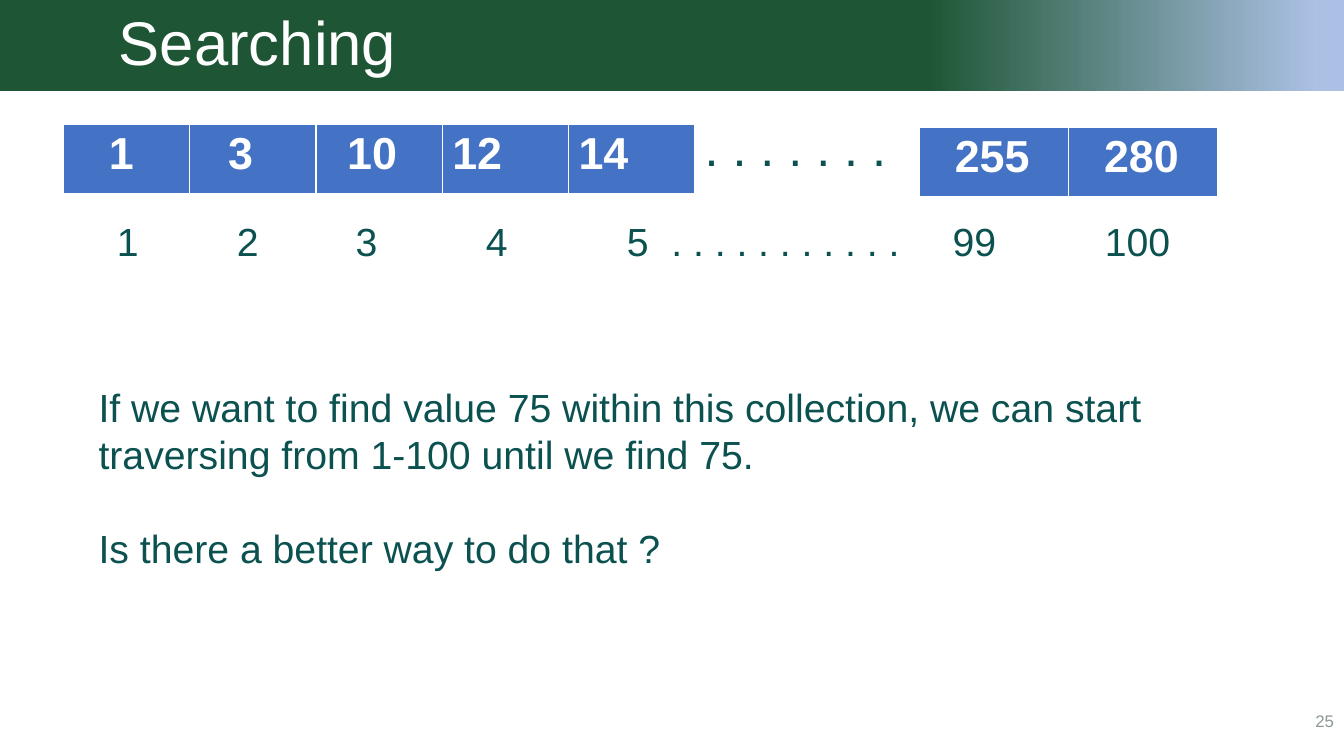
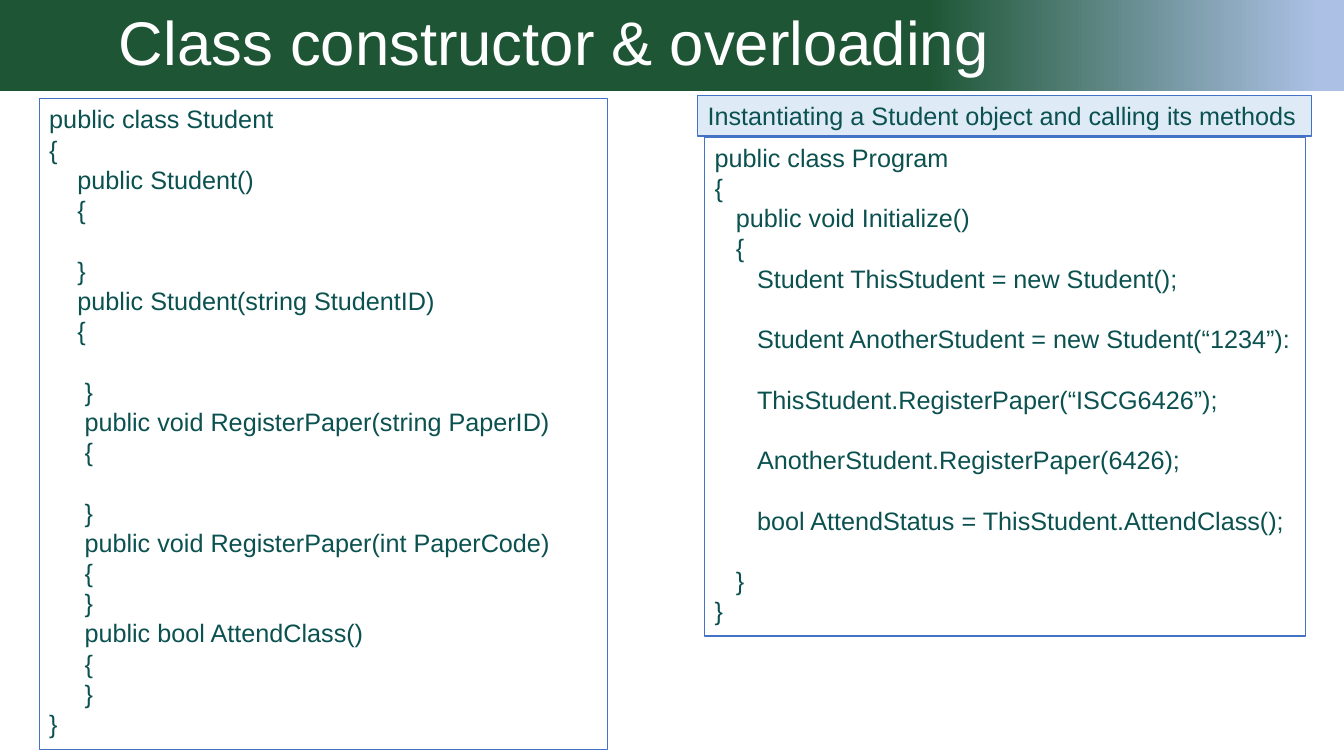
from pptx import Presentation
from pptx.dml.color import RGBColor as RGB
from pptx.enum.shapes import MSO_SHAPE as Shape
from pptx.enum.text import MSO_ANCHOR as Anchor, PP_ALIGN as Align
from pptx.oxml.ns import qn
from pptx.util import Inches, Pt
from lxml.etree import SubElement

FONT = "Arial"
WIDTH = 13.33
SPACE = 0.07
LEAD = 1.2
HEX = {
    "green": "1E5635",
    "sky": "ABC0E4",
    "blue": "4472C4",
    "pale": "DEEBF7",
    "teal": "0B5150",
    "grey": "8C9898",
    "white": "FFFFFF",
}
STOPS = [0.43, 1.62, 2.8, 4.09, 5.49, 5.93, 8.72, 10.23]
PLACES = ["1", "2", "3", "4", "5", ". . . . . . . . . . .", "99", "100"]
ASK = [
    (0, "If we want to find value 75 within this collection, we can start "
        "traversing from 1-100 until we find 75.", 0),
    (0, "Is there a better way to do that ?", 1),
]
CLASS = [
    (0, "public class Student", 0),
    (0, "{", 0),
    (4, "public Student()", 0),
    (4, "{", 0),
    (4, "}", 1),
    (4, "public Student(string StudentID)", 0),
    (4, "{", 0),
    (5, "}", 1),
    (5, "public void RegisterPaper(string PaperID)", 0),
    (5, "{", 0),
    (5, "}", 1),
    (5, "public void RegisterPaper(int PaperCode)", 0),
    (5, "{", 0),
    (5, "}", 0),
    (5, "public bool AttendClass()", 0),
    (5, "{", 0),
    (5, "}", 0),
    (0, "}", 0),
]
CALLS = [
    (0, "public class Program", 0),
    (0, "{", 0),
    (3, "public void Initialize()", 0),
    (3, "{", 0),
    (6, "Student ThisStudent = new Student();", 0),
    (6, "Student AnotherStudent = new Student(“1234”):", 1),
    (6, "ThisStudent.RegisterPaper(“ISCG6426”);", 1),
    (6, "AnotherStudent.RegisterPaper(6426);", 1),
    (6, "bool AttendStatus = ThisStudent.AttendClass();", 1),
    (3, "}", 1),
    (0, "}", 0),
]


def tint(name):
    return RGB.from_string(HEX[name])


def style(para, size, name, bold=False):
    for run in para.runs:
        run.font.name = FONT
        run.font.size = Pt(size)
        run.font.bold = bold
        run.font.color.rgb = tint(name)


def write(frame, lines, size, name="teal"):
    frame.word_wrap = True
    frame.text = "\n".join(text for _, text, _ in lines)
    for para, (depth, _, gap) in zip(frame.paragraphs, lines):
        para.alignment = Align.LEFT
        para.line_spacing = Pt(size * LEAD)
        para.space_before = Pt(size * LEAD * gap)
        if depth:
            para._p.get_or_add_pPr().set("marL", str(Inches(depth * SPACE)))
        style(para, size, name)


def add_box(slide, at):
    return slide.shapes.add_shape(Shape.RECTANGLE, *map(Inches, at))


def add_title(slide, text):
    band = add_box(slide, (0, 0, WIDTH, 0.9))
    band.shadow.inherit = False
    band.line.fill.background()
    band.fill.gradient()
    band.fill.gradient_angle = 0
    marks = [(0.69, "green"), (0.98, "sky")]
    for stop, (spot, name) in zip(band.fill.gradient_stops, marks):
        stop.position = spot
        stop.color.rgb = tint(name)
    frame = band.text_frame
    frame.margin_left = Inches(1.18)
    frame.vertical_anchor = Anchor.MIDDLE
    frame.text = text
    para = frame.paragraphs[0]
    para.alignment = Align.LEFT
    para.line_spacing = 0.9
    style(para, 44, "white")


def add_text(slide, at, lines, size, name="teal"):
    frame = slide.shapes.add_textbox(*map(Inches, at)).text_frame
    write(frame, lines, size, name)
    return frame


def add_tabs(para, stops):
    tabs = SubElement(para._p.get_or_add_pPr(), qn("a:tabLst"))
    for stop in stops:
        SubElement(tabs, qn("a:tab"), pos=str(Inches(stop)), algn="l")


def add_row(slide, at, cells):
    table = slide.shapes.add_table(1, len(cells), *map(Inches, at)).table
    for cell, (text, inset) in zip(table.iter_cells(), cells):
        cell.fill.solid()
        cell.fill.fore_color.rgb = tint("blue")
        cell.margin_left = Inches(0.1 + inset)
        cell.text_frame.text = text
        style(cell.text_frame.paragraphs[0], 32, "white", True)


def add_panel(slide, at, lines, fill=None):
    panel = add_box(slide, at)
    panel.shadow.inherit = False
    if fill:
        panel.fill.solid()
        panel.fill.fore_color.rgb = tint(fill)
    else:
        panel.fill.background()
    panel.line.color.rgb = tint("blue")
    panel.line.width = Pt(0.75)
    frame = panel.text_frame
    frame.margin_right = 0
    frame.vertical_anchor = Anchor.TOP
    write(frame, lines, 18)


def add_page(deck, title):
    slide = deck.slides.add_slide(deck.slide_layouts[6])
    add_title(slide, title)
    return slide


def draw_search(deck):
    slide = add_page(deck, "Searching")
    foot = add_text(slide, (10.33, 6.95, 3, 0.4), [(0, "25", 0)], 12, "grey")
    foot.vertical_anchor = Anchor.MIDDLE
    foot.paragraphs[0].alignment = Align.RIGHT
    head = [("1", 0.35), ("3", 0.28), ("10", 0.21), ("12", 0), ("14", 0)]
    add_row(slide, (0.63, 1.23, 6.26, 0.69), head)
    tail = [("255", 0.25), ("280", 0.25)]
    add_row(slide, (9.12, 1.26, 2.96, 0.69), tail)
    add_text(slide, (6.89, 1.1, 2.23, 0.71), [(0, ". . . . . . .", 0)], 36)
    label = "".join("\t" + place for place in PLACES)
    frame = add_text(slide, (0.63, 2.11, 12.08, 0.57), [(0, label, 0)], 28)
    add_tabs(frame.paragraphs[0], STOPS)
    add_text(slide, (0.88, 3.75, 10.83, 1.99), ASK, 28)


def draw_class(deck):
    slide = add_page(deck, "Class constructor & overloading")
    add_panel(slide, (0.39, 0.98, 5.64, 6.46), CLASS)
    add_panel(slide, (6.99, 1.36, 5.96, 4.95), CALLS)
    note = "Instantiating a Student object and calling its methods"
    add_panel(slide, (6.92, 0.95, 6.09, 0.4), [(0, note, 0)], "pale")


def main():
    deck = Presentation()
    deck.slide_width = Inches(WIDTH)
    deck.slide_height = Inches(7.5)
    draw_search(deck)
    draw_class(deck)
    deck.save("out.pptx")


if __name__ == "__main__":
    main()
